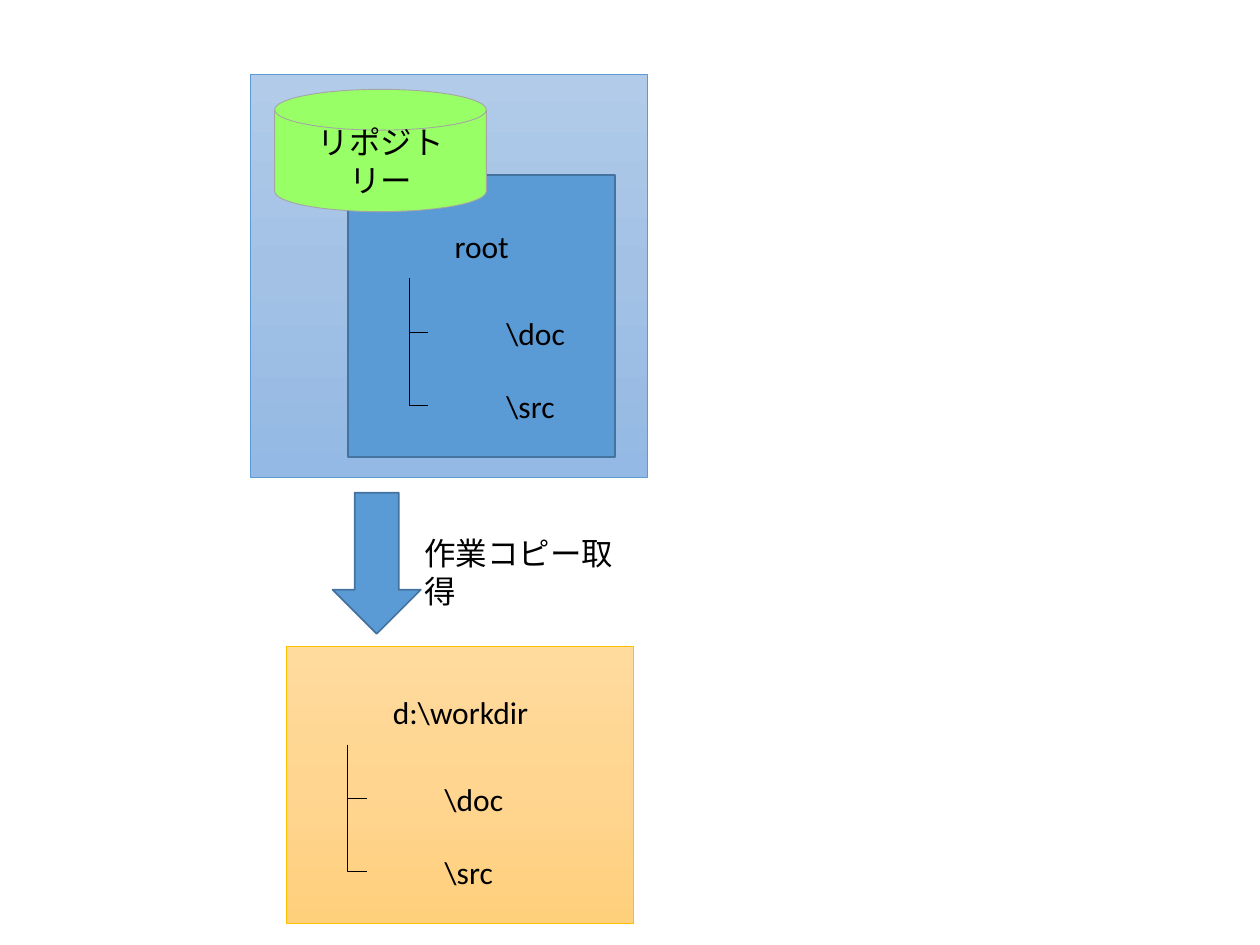
import copy

import pptx
from pptx.dml.color import RGBColor
from pptx.enum.shapes import MSO_CONNECTOR, MSO_SHAPE
from pptx.enum.text import MSO_ANCHOR, MSO_AUTO_SIZE, PP_ALIGN
from pptx.oxml.ns import qn
from pptx.util import Inches, Pt

HUES = {
    "blue": "5B9BD5", "edge": "43739E", "green": "99FF66",
    "gray": "A5A5A5", "gold": "FFC000", "black": "000000",
}
SKY = ["B1CBE9", "A3C1E5", "93B9E4"]
SAND = ["FFDB9E", "FFD590", "FFD07C"]

# kind, box, fill (one hue, or a list of gradient stops), line hue, line width
SERVER = (MSO_SHAPE.RECTANGLE, (1.99, 0.59, 3.15, 3.2), SKY, "blue", 0.5)
STORE = (MSO_SHAPE.RECTANGLE, (2.76, 1.39, 2.12, 2.24), "blue", "edge", 1)
DISK = (MSO_SHAPE.FLOWCHART_MAGNETIC_DISK, (2.18, 0.71, 1.68, 0.97),
        "green", "gray", 0.5)
WORK = (MSO_SHAPE.RECTANGLE, (2.27, 5.13, 2.76, 2.2), SAND, "gold", 0.5)
ARROW = (MSO_SHAPE.DOWN_ARROW, (2.64, 3.91, 0.7, 1.12), "blue", "edge", 1)

# top of the trunk, root name and its width
REPO_TREE = (3.25, 2.21, "root", 0.64)
WORK_TREE = (2.76, 5.91, "d:\\workdir", 1.32)
# folder name, label width, start and end of the branch below the trunk top
FOLDERS = [("\\doc", 0.7, 0, 0.43), ("\\src", 0.62, 0.06, 1.01)]
TWIG = 0.15


def rgb(hue):
    return RGBColor.from_string(HUES.get(hue, hue))


def write(para, text):
    run = para.add_run()
    run.text = text
    run.font.name = "Calibri"
    run.font.size = Pt(18)
    run.font.color.rgb = rgb("black")


def shade(fill, hues):
    """Fill from top to bottom with evenly spaced stops."""
    fill.gradient()
    fill.gradient_angle = 270
    stops = fill.gradient_stops
    first = stops[0]._gs
    first.addnext(copy.deepcopy(first))
    for i, (stop, hue) in enumerate(zip(fill.gradient_stops, hues)):
        stop.position = i / (len(hues) - 1)
        stop.color.rgb = rgb(hue)


def block(slide, kind, box, fill, line, width):
    shape = slide.shapes.add_shape(kind, *map(Inches, box))
    shape.shadow.inherit = False
    if isinstance(fill, list):
        shade(shape.fill, fill)
    else:
        shape.fill.solid()
        shape.fill.fore_color.rgb = rgb(fill)
    shape.line.color.rgb = rgb(line)
    shape.line.width = Pt(width)
    return shape


def label(slide, text, x, y, width, wrap=False):
    box = slide.shapes.add_textbox(*map(Inches, (x, y, width, 0.4)))
    frame = box.text_frame
    frame.word_wrap = wrap
    frame.auto_size = MSO_AUTO_SIZE.SHAPE_TO_FIT_TEXT
    write(frame.paragraphs[0], text)


def branch(slide, x, top, end):
    """Draw an elbow down from (x, top) to end, then right by one twig."""
    tall = end - top
    mid_x, mid_y = x + TWIG / 2, (top + end) / 2
    # The elbow is laid out flat, mirrored, then turned about its centre.
    line = slide.shapes.add_connector(
        MSO_CONNECTOR.ELBOW,
        Inches(mid_x + tall / 2), Inches(mid_y - TWIG / 2),
        Inches(mid_x - tall / 2), Inches(mid_y + TWIG / 2))
    line.line.color.rgb = rgb("black")
    line.line.width = Pt(0.5)
    props = line._element.spPr
    props.find(qn("a:xfrm")).set("rot", str(270 * 60000))
    props.find(qn("a:prstGeom")).set("prst", "bentConnector2")
    props.append(props.makeelement(qn("a:effectLst"), {}))


def tree(slide, x, y, name, width):
    label(slide, name, x + 0.26, y - 0.46, width)
    for text, wide, start, end in FOLDERS:
        label(slide, text, x + 0.67, y + end - 0.2, wide)
        branch(slide, x, y + start, y + end)


def main():
    deck = pptx.Presentation()
    deck.slide_width, deck.slide_height = Inches(10), Inches(7.5)
    slide = deck.slides.add_slide(deck.slide_layouts[6])

    block(slide, *SERVER)
    block(slide, *STORE)
    frame = block(slide, *DISK).text_frame
    frame.word_wrap = True
    frame.vertical_anchor = MSO_ANCHOR.MIDDLE
    frame.paragraphs[0].alignment = PP_ALIGN.CENTER
    write(frame.paragraphs[0], "リポジトリー")
    tree(slide, *REPO_TREE)

    block(slide, *WORK)
    tree(slide, *WORK_TREE)

    block(slide, *ARROW)
    label(slide, "作業コピー取得", 3.27, 4.19, 1.87, wrap=True)
    deck.save("out.pptx")


if __name__ == "__main__":
    main()
